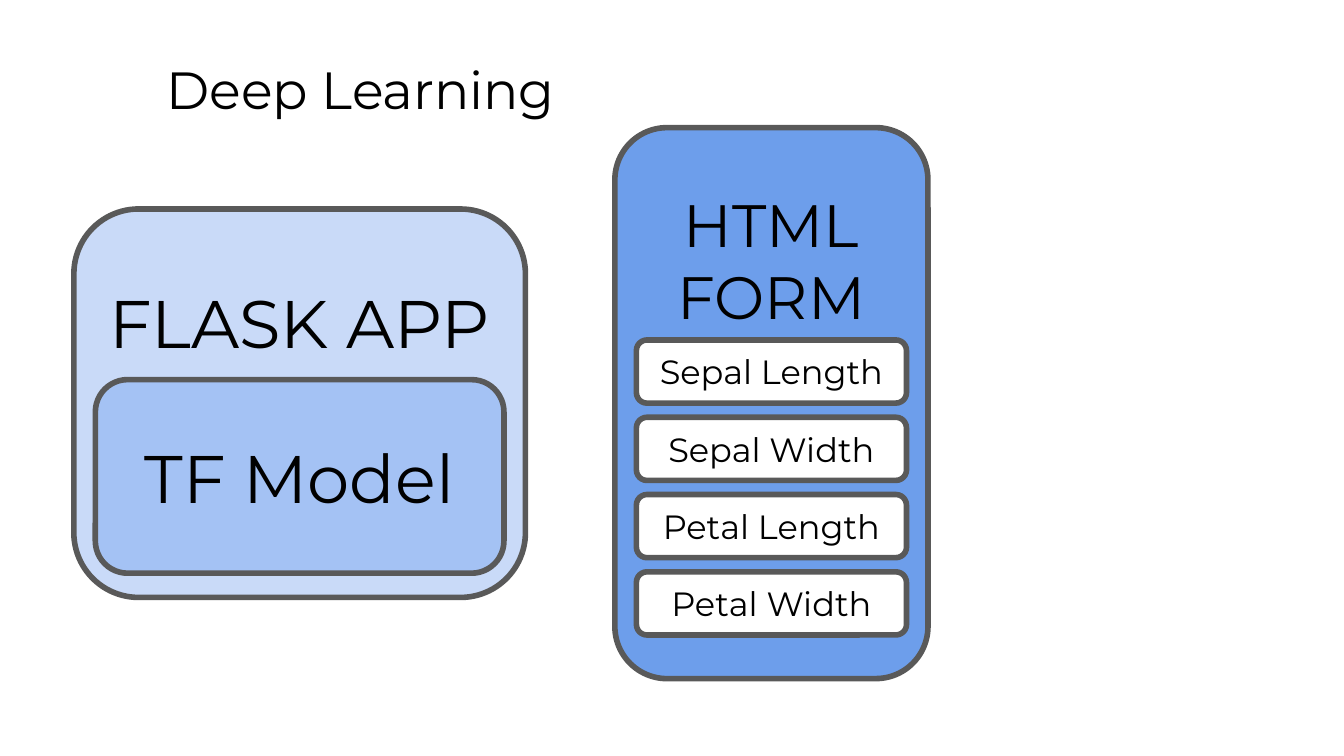
from dataclasses import dataclass

from pptx import Presentation
from pptx.dml.color import RGBColor
from pptx.enum.shapes import MSO_SHAPE
from pptx.enum.text import MSO_ANCHOR, MSO_AUTO_SIZE, PP_ALIGN
from pptx.util import Pt

ROUNDED = MSO_SHAPE.ROUNDED_RECTANGLE
TOP, MIDDLE = MSO_ANCHOR.TOP, MSO_ANCHOR.MIDDLE
LEFT, CENTER = PP_ALIGN.LEFT, PP_ALIGN.CENTER
NO_AUTOFIT = MSO_AUTO_SIZE.NONE
PX = 4572  # EMU per px, 200 px to the inch


@dataclass(frozen=True)
class Theme:
    font: str = "Montserrat"
    ink: str = "000000"
    outline: str = "595959"
    app: str = "C9DAF8"
    model: str = "A4C2F4"
    form: str = "6D9EEB"
    field: str = "FFFFFF"
    title_size: int = 28
    app_size: int = 36
    form_size: int = 32
    field_size: int = 18


theme = Theme()


def write(frame, text, *, size, align=CENTER, anchor=MIDDLE, top=20):
    """Fill a text frame, one paragraph per line; top is its upper inset in px."""
    frame.text = text
    frame.word_wrap = True
    frame.auto_size = NO_AUTOFIT
    frame.vertical_anchor = anchor
    frame.margin_left = frame.margin_right = frame.margin_bottom = 20 * PX
    frame.margin_top = top * PX
    for paragraph in frame.paragraphs:
        paragraph.alignment = align
        font = paragraph.runs[0].font
        font.name = theme.font
        font.size = Pt(size)
        font.color.rgb = RGBColor.from_string(theme.ink)


def add_box(x, y, width, height, fill, text, **text_format):
    box = slide.shapes.add_shape(ROUNDED, x * PX, y * PX, width * PX, height * PX)
    box.shadow.inherit = False
    box.fill.solid()
    box.fill.fore_color.rgb = RGBColor.from_string(fill)
    box.line.color.rgb = RGBColor.from_string(theme.outline)
    box.line.width = Pt(3)
    write(box.text_frame, text, **text_format)


deck = Presentation()
deck.slide_width, deck.slide_height = 2000 * PX, 1125 * PX
slide = deck.slides.add_slide(deck.slide_layouts[5])

title = slide.shapes.title
title.left, title.top, title.width, title.height = 228 * PX, 65 * PX, 1704 * PX, 126 * PX
write(title.text_frame, "Deep Learning", size=theme.title_size, align=LEFT, anchor=TOP)

# Flask app with the model inside it
add_box(110, 311, 672, 578, theme.app, "FLASK APP", size=theme.app_size, anchor=TOP, top=80)
add_box(142, 565, 608, 288, theme.model, "TF Model", size=theme.app_size)

# Form with its input fields
add_box(915, 190, 466, 820, theme.form, "HTML\nFORM", size=theme.form_size, anchor=TOP, top=67)
for i, field in enumerate(["Sepal Length", "Sepal Width", "Petal Length", "Petal Width"]):
    add_box(947, 506 + i * 115, 402, 94, theme.field, field, size=theme.field_size)

deck.save("out.pptx")
